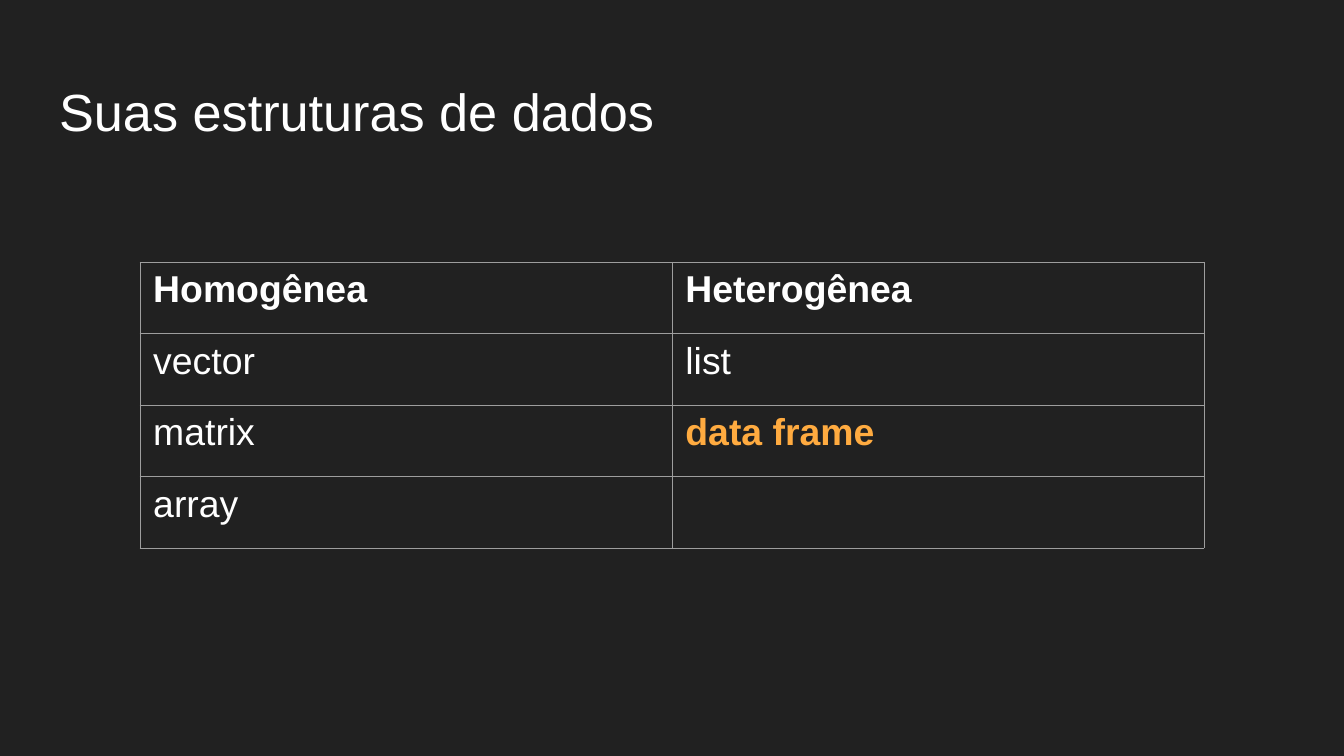
from lxml.etree import SubElement
from pptx import Presentation
from pptx.dml.color import RGBColor
from pptx.enum.text import MSO_ANCHOR, PP_ALIGN
from pptx.oxml.ns import qn
from pptx.util import Inches, Pt

TITLE = "Suas estruturas de dados"
ROWS = [
    ("Homogênea", "Heterogênea"),
    ("vector", "list"),
    ("matrix", "data frame"),
    ("array", ""),
]
HIGHLIGHT = "data frame"

FONT = "Arial"
BACKGROUND = RGBColor(0x21, 0x21, 0x21)
WHITE = RGBColor(0xFF, 0xFF, 0xFF)
ORANGE = RGBColor(0xFF, 0xAB, 0x40)
GRID_GRAY = RGBColor(0x9E, 0x9E, 0x9E)

SLIDE_W = Inches(10)
SLIDE_H = SLIDE_W * 9 // 16
TITLE_MARGIN = Inches(0.34)
TABLE_TOP = Inches(1.95)
TABLE_W, TABLE_H = Inches(7.92), Inches(2.13)
BORDER_W = Pt(0.34)


def style(paragraph, size, color=WHITE, bold=False):
    paragraph.alignment = PP_ALIGN.LEFT
    font = paragraph.font
    font.name, font.size, font.bold = FONT, Pt(size), bold
    font.color.rgb = color


def add_borders(cell):
    """Draw a thin line on all four sides; lines must precede the cell's fill."""
    properties = cell._tc.get_or_add_tcPr()
    for side in ("a:lnL", "a:lnR", "a:lnT", "a:lnB"):
        line = SubElement(properties, qn(side), w=str(BORDER_W))
        fill = SubElement(line, qn("a:solidFill"))
        SubElement(fill, qn("a:srgbClr"), val=str(GRID_GRAY))


def add_title(slide):
    title = slide.shapes.title
    title.left, title.top = TITLE_MARGIN, Inches(0.49)
    title.width, title.height = SLIDE_W - 2 * TITLE_MARGIN, Inches(0.63)
    frame = title.text_frame
    frame.margin_left = frame.margin_right = Inches(0.1)
    frame.margin_top = frame.margin_bottom = Inches(0.1)
    frame.vertical_anchor = MSO_ANCHOR.TOP
    frame.text = TITLE
    style(frame.paragraphs[0], 28)


def add_structures_table(slide):
    table = slide.shapes.add_table(
        len(ROWS), len(ROWS[0]),
        (SLIDE_W - TABLE_W) // 2, TABLE_TOP, TABLE_W, TABLE_H,
    ).table
    table.horz_banding = False
    for r, row in enumerate(ROWS):
        for c, text in enumerate(row):
            cell = table.cell(r, c)
            cell.text = text
            highlighted = text == HIGHLIGHT
            style(cell.text_frame.paragraphs[0], 20,
                  ORANGE if highlighted else WHITE, r == 0 or highlighted)
            add_borders(cell)
            cell.fill.background()


def main():
    presentation = Presentation()
    presentation.slide_width, presentation.slide_height = SLIDE_W, SLIDE_H
    slide = presentation.slides.add_slide(presentation.slide_layouts[5])
    slide.background.fill.solid()
    slide.background.fill.fore_color.rgb = BACKGROUND
    add_title(slide)
    add_structures_table(slide)
    presentation.save("out.pptx")


if __name__ == "__main__":
    main()
